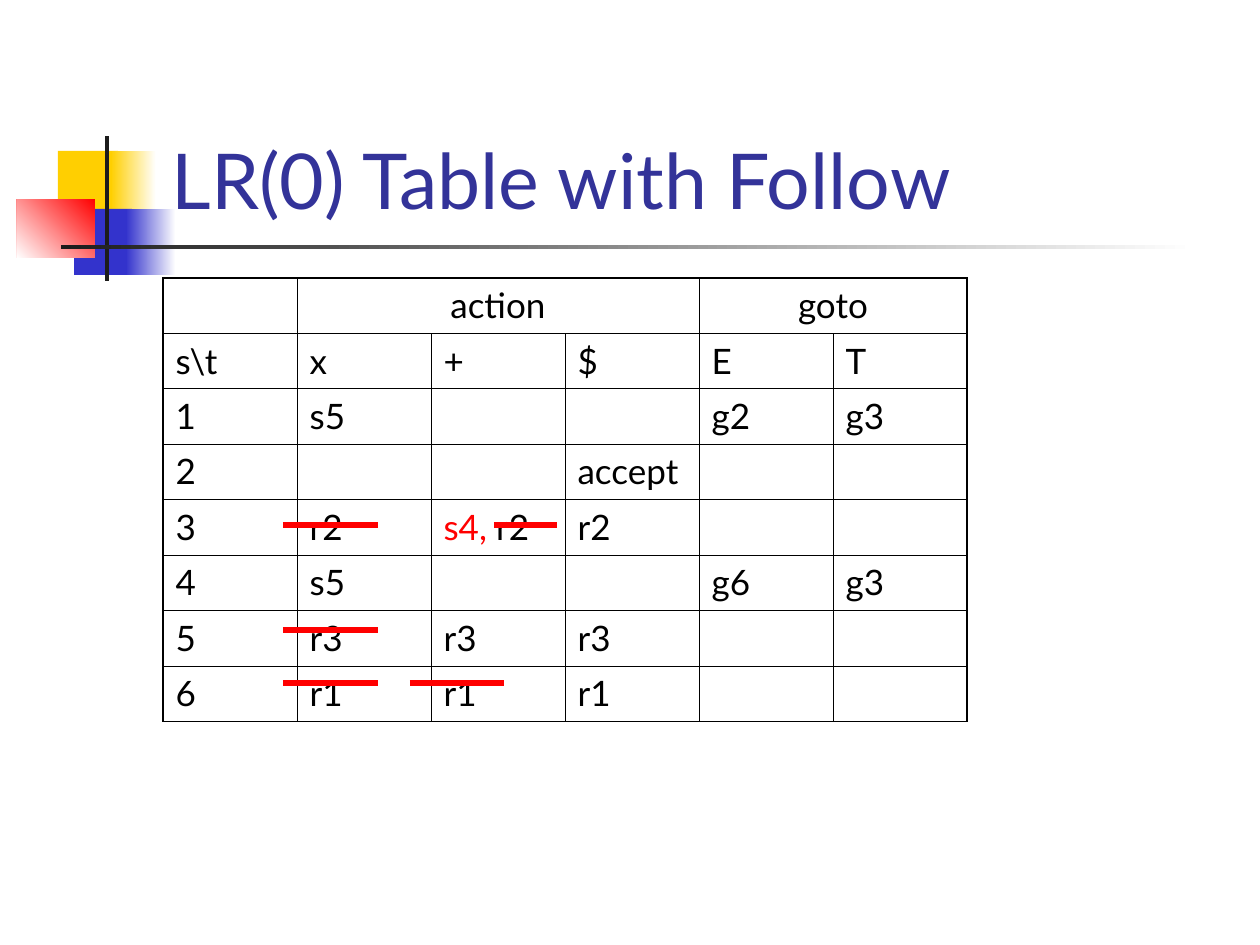
from lxml.etree import SubElement
from pptx import Presentation
from pptx.dml.color import RGBColor
from pptx.enum.shapes import MSO_CONNECTOR, MSO_SHAPE
from pptx.enum.text import MSO_ANCHOR, MSO_AUTO_SIZE, PP_ALIGN
from pptx.oxml.ns import qn
from pptx.util import Emu, Pt

FONT = "Lato"
BLACK, WHITE, RED = "000000", "FFFFFF", "FF0000"
YELLOW, BLUE, DARK, NAVY = "FFCF01", "3333CC", "1C1C1C", "333399"


def px(length):
    return Emu(round(length * 914400 / 126))


def rgb(value):
    return RGBColor.from_string(value)


prs = Presentation()
prs.slide_width, prs.slide_height = px(1260), px(945)
slide = prs.slides.add_slide(prs.slide_layouts[5])

# Coloured blocks and bars beside the title: box, colours, gradient angle
decorations = [
    ((58, 151, 60, 66), [YELLOW], None),
    ((111, 151, 45, 66), [WHITE, YELLOW], 180),
    ((74, 209, 58, 66), [BLUE], None),
    ((126, 209, 50, 66), [WHITE, BLUE], 180),
    ((17, 199, 78, 59), [RED, WHITE], 225),
    ((105, 136, 4, 145), [DARK], None),
    ((61, 245, 1134, 4), [WHITE, DARK], 180),
]
for box, colours, angle in decorations:
    block = slide.shapes.add_shape(MSO_SHAPE.RECTANGLE, *map(px, box))
    block.shadow.inherit = False
    block.line.fill.background()
    if angle is None:
        block.fill.solid()
        block.fill.fore_color.rgb = rgb(colours[0])
    else:
        block.fill.gradient()
        block.fill.gradient_angle = angle
        for stop, colour in zip(block.fill.gradient_stops, colours):
            stop.color.rgb = rgb(colour)

# Title, in front of the blocks
title = slide.shapes.title
slide.shapes._spTree.append(title._element)
title.left, title.top, title.width, title.height = map(px, (159, 29, 1074, 202))
title_format = {"word_wrap": True, "auto_size": MSO_AUTO_SIZE.NONE,
                "vertical_anchor": MSO_ANCHOR.BOTTOM}
for attribute, value in title_format.items():
    setattr(title.text_frame, attribute, value)
title.text_frame.text = "LR(0) Table with Follow"
heading = title.text_frame.paragraphs[0]
heading.alignment = PP_ALIGN.LEFT
heading.font.name, heading.font.size = FONT, Pt(44)
heading.font.color.rgb = rgb(NAVY)

# Parsing table; a cell holds its text as (text, colour) runs where colours mix
conflict = [("s4, ", RED), ("r2", BLACK)]
states = [
    ["", "action", "", "", "goto", ""],
    ["s\\t", "x", "+", "$", "E", "T"],
    ["1", "s5", "", "", "g2", "g3"],
    ["2", "", "", "accept", "", ""],
    ["3", "r2", conflict, "r2", "", ""],
    ["4", "s5", "", "", "g6", "g3"],
    ["5", "r3", "r3", "r3", "", ""],
    ["6", "r1", "r1", "r1", "", ""],
]
row_count, column_count = len(states), len(states[0])
parsing = slide.shapes.add_table(row_count, column_count, px(163), px(278),
                                 px(134 * column_count), px(55 * row_count)).table
for flag, value in {"first_row": False, "horz_banding": False}.items():
    setattr(parsing, flag, value)
for column in parsing.columns:
    column.width = px(134)
for row in parsing.rows:
    row.height = px(55)
parsing.cell(0, 1).merge(parsing.cell(0, 3))
parsing.cell(0, 4).merge(parsing.cell(0, 5))

for r, state in enumerate(states):
    for c, entry in enumerate(state):
        cell = parsing.cell(r, c)
        if cell.is_spanned:
            continue
        paragraph = cell.text_frame.paragraphs[0]
        paragraph.space_before = Pt(5)
        paragraph.alignment = PP_ALIGN.CENTER if r == 0 else PP_ALIGN.LEFT
        paragraph.font.size = Pt(20)
        runs = [(entry, BLACK)] if isinstance(entry, str) else entry
        for text, colour in runs:
            if text:
                run = paragraph.add_run()
                run.text = text
                run.font.name, run.font.size = FONT, Pt(20)
                run.font.color.rgb = rgb(colour)

        # Borders: heavier around the outside of the table
        last_column = c + (cell.span_width if cell.is_merge_origin else 1)
        outer = {"lnL": c == 0, "lnR": last_column == column_count,
                 "lnT": r == 0, "lnB": r == row_count - 1}
        properties = cell._tc.get_or_add_tcPr()
        for side, is_outer in outer.items():
            border = SubElement(properties, qn(f"a:{side}"),
                                w=str(Pt(1.08 if is_outer else 0.45)))
            border_fill = SubElement(border, qn("a:solidFill"))
            SubElement(border_fill, qn("a:srgbClr"), val=BLACK)
        cell.fill.background()

# Strokes through the reductions that Follow rules out: left, right, y
strokes = [(283, 378, 525), (494, 557, 525), (283, 378, 630),
           (283, 378, 683), (410, 504, 683)]
for left, right, y in strokes:
    stroke = slide.shapes.add_connector(MSO_CONNECTOR.STRAIGHT,
                                        px(left), px(y), px(right), px(y))
    stroke.line.color.rgb = rgb(RED)
    stroke.line.width = Pt(3)
    SubElement(stroke._element.spPr, qn("a:effectLst"))

prs.save("out.pptx")
